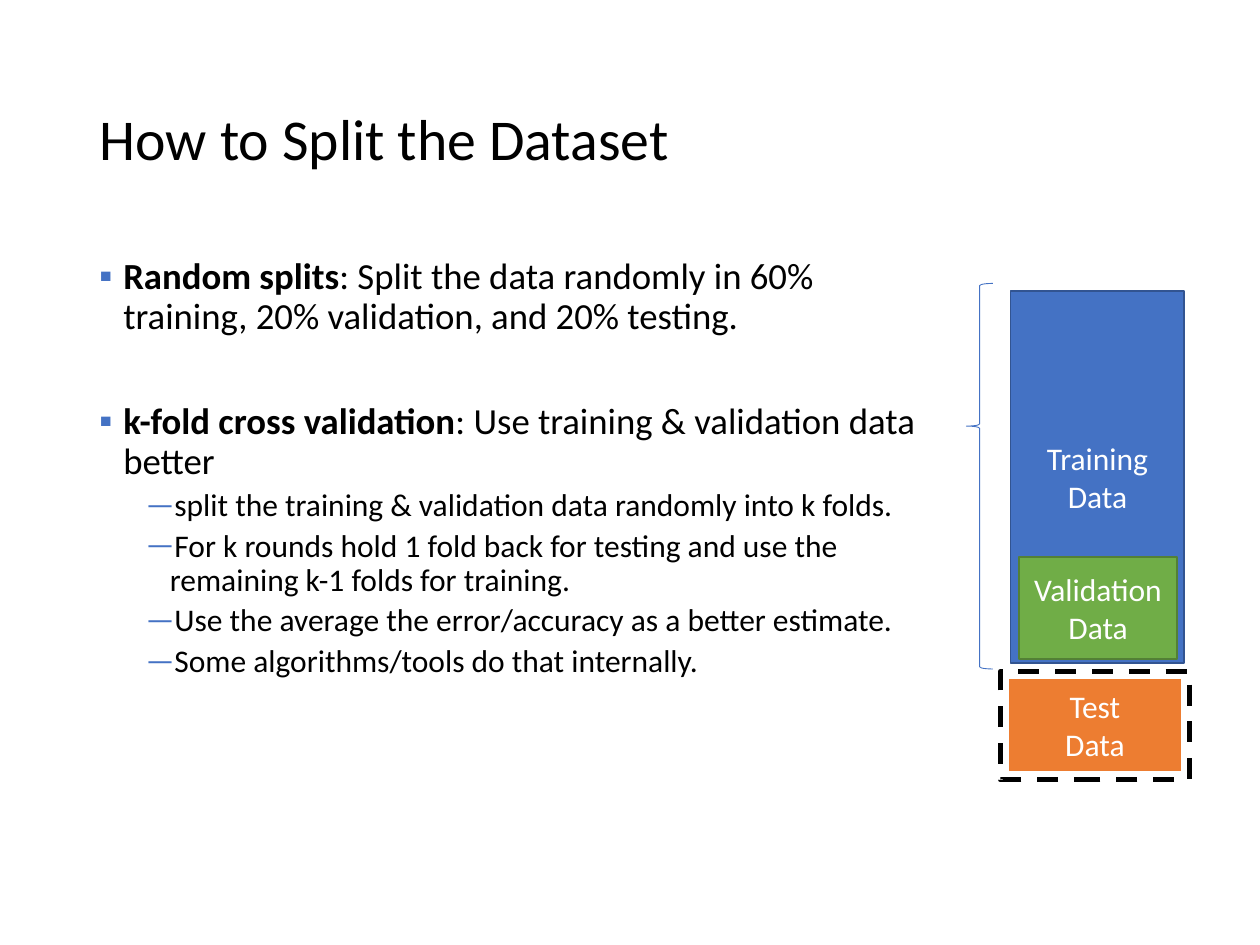
import pptx
import pptx.util
import pptx.dml.color
import pptx.enum.dml
import pptx.enum.shapes
import pptx.enum.text
import pptx.oxml
import pptx.oxml.ns

COLS, ROWS = 40, 30
FONT = "Calibri"
HUES = {
    "ink": "000000", "paper": "FFFFFF",
    "blue": "4472C4", "navy": "325491",
    "green": "70AD47", "moss": "538035", "orange": "ED7D31",
}
KIND = pptx.enum.shapes.MSO_SHAPE
ALIGN = pptx.enum.text.PP_ALIGN
MIDDLE = pptx.enum.text.MSO_ANCHOR.MIDDLE

# level, bold lead, text, space before in points
POINTS = [
    (0, "Random splits",
     ": Split the data randomly in 60% training, 20% validation, and 20% testing.", 0),
    (0, "k-fold cross validation", ": Use training & validation data better", 37.5),
    (1, "", "split the training & validation data randomly into k folds.", 3.8),
    (1, "", "For k rounds hold 1 fold back for testing and use the "
            "remaining k-1 folds for training.", 3.8),
    (1, "", "Use the average the error/accuracy as a better estimate.", 3.8),
    (1, "", "Some algorithms/tools do that internally.", 3.8),
]
# bullet, left margin in inches, text size
LEVELS = [("▪", 0.19, 21), ("—", 0.56, 18)]
HANG = -0.19


def hue(name):
    return pptx.dml.color.RGBColor.from_string(HUES[name])


class Deck:
    """Holds the style, the file and the current slide."""

    def __init__(self):
        self.file = pptx.Presentation()
        self.file.slide_width = pptx.util.Inches(10)
        self.file.slide_height = pptx.util.Inches(7.5)
        self.slide = self.file.slides.add_slide(self.file.slide_layouts[5])

    def area(self, col, row, wide, high):
        """Turn grid columns and rows into slide lengths."""
        x = self.file.slide_width / COLS
        y = self.file.slide_height / ROWS
        return [round(n) for n in (col * x, row * y, wide * x, high * y)]

    def style(self, par, size, color="ink"):
        for run in par.runs:
            run.font.name = FONT
            run.font.size = pptx.util.Pt(size)
            run.font.color.rgb = hue(color)

    def title(self, text, *grid):
        box = self.slide.shapes.title
        box.left, box.top, box.width, box.height = self.area(*grid)
        frame = box.text_frame
        frame.text = text
        frame.auto_size = pptx.enum.text.MSO_AUTO_SIZE.NONE
        frame.vertical_anchor = MIDDLE
        par = frame.paragraphs[0]
        par.alignment = ALIGN.LEFT
        par.line_spacing = 0.9
        self.style(par, 33)

    def bullet(self, par, mark, left):
        props = par._p.get_or_add_pPr()
        props.set("marL", str(pptx.util.Inches(left)))
        props.set("indent", str(pptx.util.Inches(HANG)))
        space = pptx.oxml.ns.nsdecls("a")
        for xml in (
            f'<a:buClr {space}><a:srgbClr val="{HUES["blue"]}"/></a:buClr>',
            f'<a:buFont {space} typeface="{FONT}"/>',
            f'<a:buChar {space} char="{mark}"/>',
        ):
            props.append(pptx.oxml.parse_xml(xml))

    def points(self, items, *grid):
        frame = self.slide.shapes.add_textbox(*self.area(*grid)).text_frame
        frame.word_wrap = True
        for i, (level, lead, text, gap) in enumerate(items):
            par = frame.add_paragraph() if i else frame.paragraphs[0]
            mark, left, size = LEVELS[level]
            self.bullet(par, mark, left)
            par.level = level
            par.line_spacing = 0.9
            par.space_before = pptx.util.Pt(gap)
            if lead:
                run = par.add_run()
                run.text = lead
                run.font.bold = True
            par.add_run().text = text
            self.style(par, size)

    def shape(self, kind, grid, line, width, fill=None):
        item = self.slide.shapes.add_shape(kind, *self.area(*grid))
        item.shadow.inherit = False
        item.line.color.rgb = hue(line)
        item.line.width = pptx.util.Pt(width)
        if fill:
            item.fill.solid()
            item.fill.fore_color.rgb = hue(fill)
        else:
            item.fill.background()
        return item

    def block(self, text, fill, line, width, *grid):
        frame = self.shape(KIND.RECTANGLE, grid, line, width, fill).text_frame
        frame.word_wrap = False
        frame.vertical_anchor = MIDDLE
        frame.text = text
        for par in frame.paragraphs:
            par.alignment = ALIGN.CENTER
            self.style(par, 18, "paper")

    def brace(self, *grid):
        item = self.shape(KIND.LEFT_BRACE, grid, "blue", 0.5)
        item.adjustments[0] = 0.08
        item.adjustments[1] = 0.37

    def frame(self, *grid):
        item = self.shape(KIND.RECTANGLE, grid, "ink", 3)
        item.line.dash_style = pptx.enum.dml.MSO_LINE.DASH


def main():
    deck = Deck()
    deck.title("How to Split the Dataset", 2.76, 1.6, 34.48, 5.8)
    deck.points(POINTS, 2.76, 8, 27, 19.04)
    deck.brace(30.68, 9, 0.84, 12.24)
    deck.block("Test\nData", "orange", "paper", 1.5, 32, 21.52, 5.52, 3)
    deck.frame(31.76, 21.32, 6, 3.44)
    deck.block("Training\nData", "blue", "navy", 1, 32.08, 9.24, 5.52, 11.8)
    deck.block("Validation\nData", "green", "moss", 1, 32.36, 17.68, 5, 3.24)
    deck.file.save("out.pptx")


if __name__ == "__main__":
    main()
